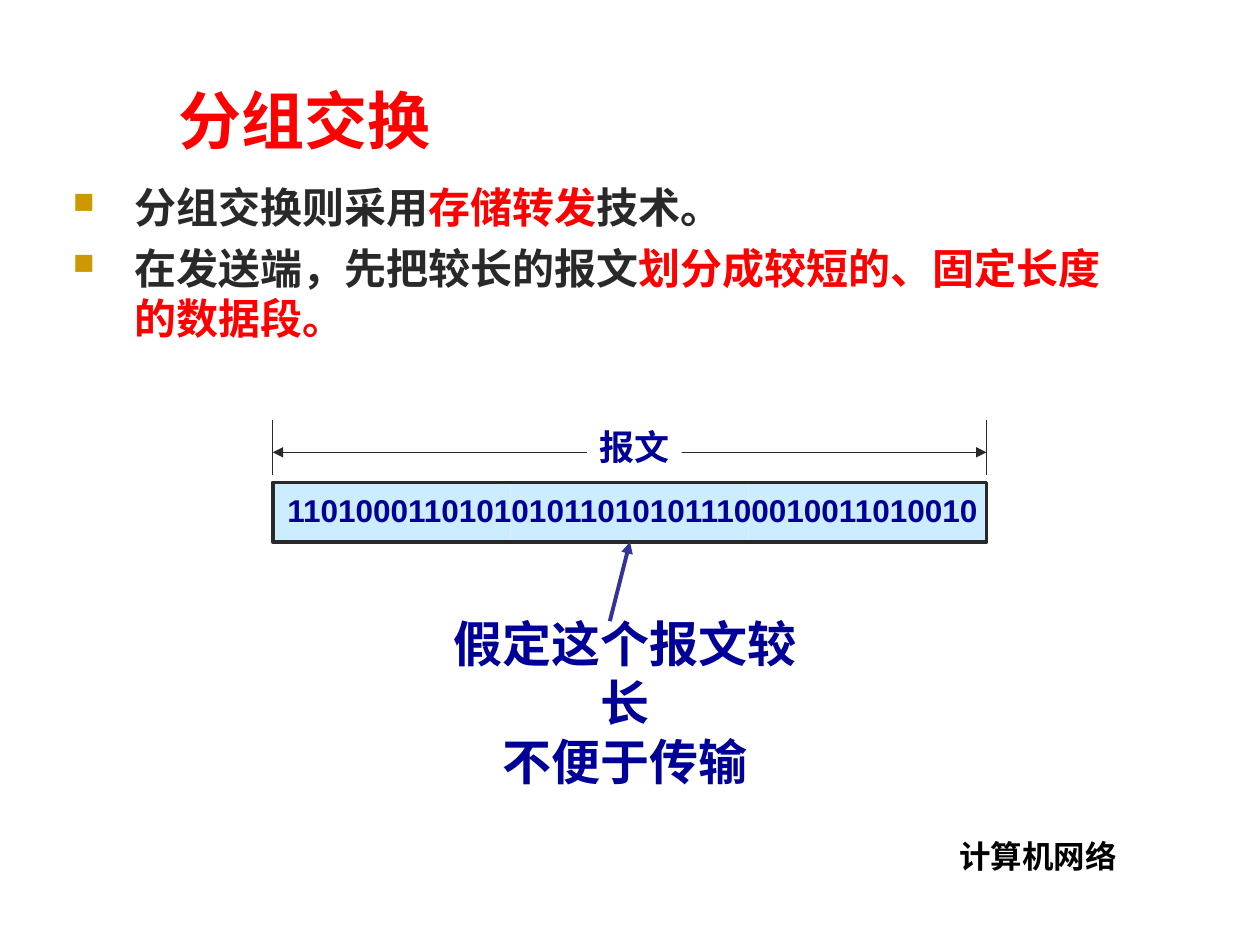
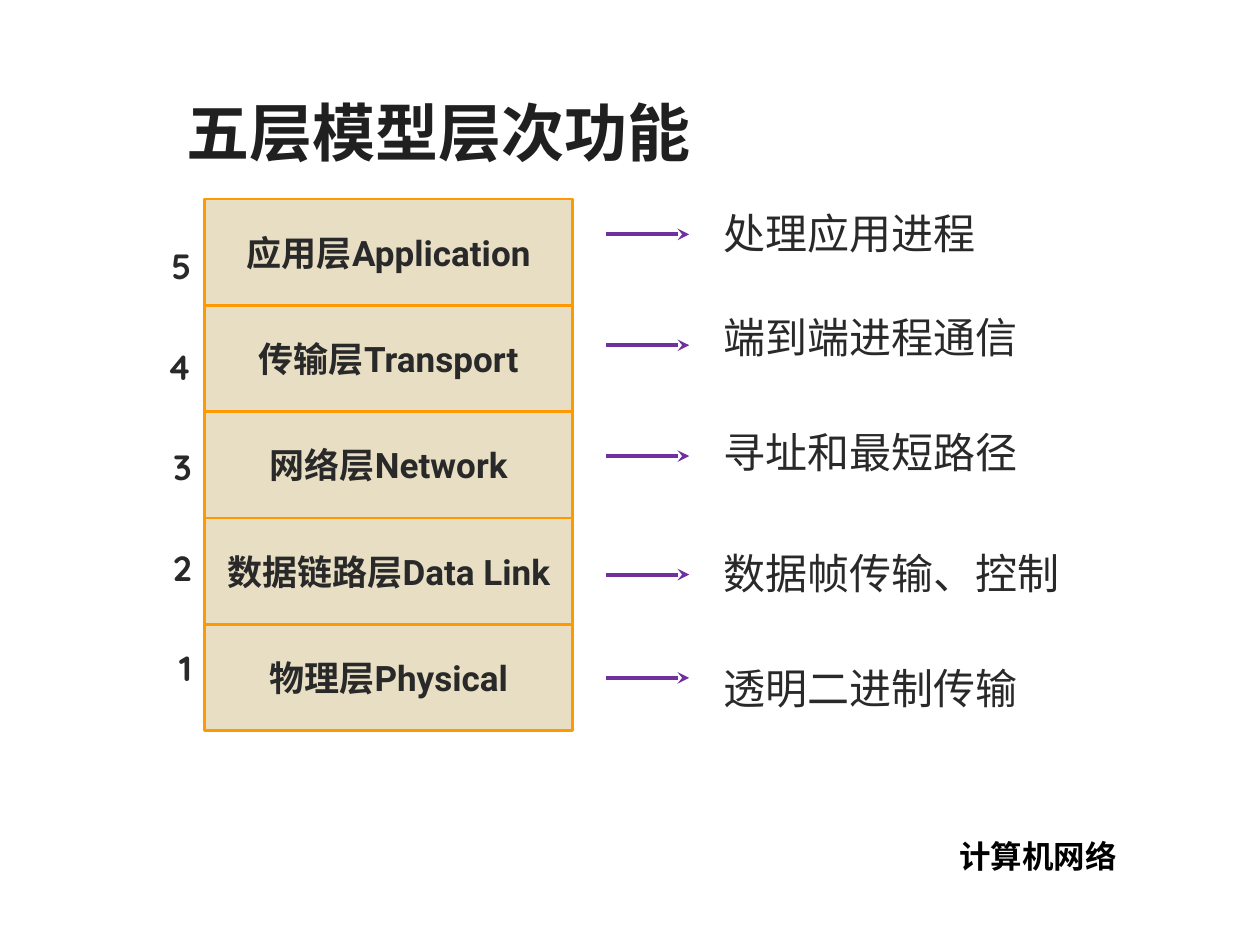
import pptx
import pptx.util
import pptx.dml.color
import pptx.enum.dml
import pptx.enum.lang
import pptx.enum.shapes
import pptx.enum.text
import pptx.oxml
import pptx.oxml.ns
import lxml.etree

COLS, ROWS = 100, 75
WIDE, HIGH = pptx.util.Inches(10), pptx.util.Inches(7.5)
HUES = {
    "red": "FF0000", "ink": "292929", "dark": "202020", "black": "000000",
    "navy": "000099", "blue": "333399", "sky": "CCECFF", "white": "FFFFFF",
    "gold": "CC9900", "tan": "997300", "edge": "FF9900", "plum": "7030A0",
}
ALIGN = {
    "left": pptx.enum.text.PP_ALIGN.LEFT,
    "mid": pptx.enum.text.PP_ALIGN.CENTER,
    "right": pptx.enum.text.PP_ALIGN.RIGHT,
}
HOLD = {
    "top": pptx.enum.text.MSO_ANCHOR.TOP,
    "mid": pptx.enum.text.MSO_ANCHOR.MIDDLE,
    "low": pptx.enum.text.MSO_ANCHOR.BOTTOM,
}
ASIAN = "Cabin"
LAYERS = [
    ("应用层Application", "处理应用进程", 18.6, 0),
    ("传输层Transport", "端到端进程通信", 27.4, 35),
    ("网络层Network", "寻址和最短路径", 36.2, 41),
    ("数据链路层Data Link", "数据帧传输、控制", 45.6, 45),
    ("物理层Physical", "透明二进制传输", 53.8, 41),
]


def col(n):
    return round(WIDE * n / COLS)


def row(n):
    return round(HIGH * n / ROWS)


def hue(name):
    return pptx.dml.color.RGBColor.from_string(HUES[name])


def node(root, tag, **attrs):
    item = lxml.etree.SubElement(root, pptx.oxml.ns.qn(tag))
    for key, value in attrs.items():
        item.set(key, str(value))
    return item


def place(area):
    left, top, wide, high = area
    return col(left), row(top), col(wide), row(high)


def mark(para):
    props = para._p.get_or_add_pPr()
    props.set("marL", str(col(4.9)))
    props.set("indent", str(-col(4.9)))
    node(node(props, "a:buClr"), "a:srgbClr", val=HUES["gold"])
    node(props, "a:buSzPct", val=70000)
    node(props, "a:buChar", char="■")


def write(frame, lines, size=18, font="Arial", color="ink", bold=True,
          align="left", hold="top", wrap=True, gaps=(), lead=None,
          bullet=False):
    frame.word_wrap = wrap
    frame.vertical_anchor = HOLD[hold]
    for i, line in enumerate(lines):
        para = frame.paragraphs[0] if i == 0 else frame.add_paragraph()
        para.alignment = ALIGN[align]
        if lead:
            para.line_spacing = lead
        if i and gaps:
            para.space_before = pptx.util.Pt(gaps[i])
        if bullet:
            mark(para)
        for words, shade in [(line, color)] if isinstance(line, str) else line:
            run = para.add_run()
            run.text = words
            run.font.size = pptx.util.Pt(size)
            run.font.bold = bold
            run.font.color.rgb = hue(shade)
            run.font.name = font
            run.font.language_id = pptx.enum.lang.MSO_LANGUAGE_ID.SIMPLIFIED_CHINESE
            node(run._r.get_or_add_rPr(), "a:ea", typeface=ASIAN)


def text(slide, area, lines, **style):
    write(slide.shapes.add_textbox(*place(area)).text_frame, lines, **style)


def box(slide, area, fill=None, edge=None, width=1.5, clear=None):
    shape = slide.shapes.add_shape(
        pptx.enum.shapes.MSO_SHAPE.RECTANGLE, *place(area))
    shape.shadow.inherit = False
    if fill:
        shape.fill.solid()
        shape.fill.fore_color.rgb = hue(fill)
        if clear:
            tint = shape.fill._xPr.find(".//" + pptx.oxml.ns.qn("a:srgbClr"))
            node(tint, "a:alpha", val=clear * 1000)
    else:
        shape.fill.background()
    if edge:
        shape.line.color.rgb = hue(edge)
        shape.line.width = pptx.util.Pt(width)
    else:
        shape.line.fill.background()
    return shape


def line(slide, start, end, color="ink", width=0.75, head=None, tail=None):
    link = slide.shapes.add_connector(
        pptx.enum.shapes.MSO_CONNECTOR.STRAIGHT,
        col(start[0]), row(start[1]), col(end[0]), row(end[1]))
    link.line.color.rgb = hue(color)
    link.line.width = pptx.util.Pt(width)
    stroke = link.line._get_or_add_ln()
    if head:
        node(stroke, "a:headEnd", type=head)
    if tail:
        node(stroke, "a:tailEnd", type=tail)
    node(link._element.spPr, "a:effectLst")


def page(deck, title, area, color):
    slide = deck.slides.add_slide(deck.slide_layouts[6])
    text(slide, (71, 65.9, 22.8, 4), ["计算机网络"], color="black", align="mid")
    text(slide, area, [title], size=36, color=color, hold="low")
    return slide


def packet(deck):
    slide = page(deck, "分组交换", (13.2, 4.4, 82, 8.6), "red")
    points = [
        [("分组交换则采用", "ink"), ("存储转发", "red"), ("技术。", "ink")],
        [("在发送端，先把较长的报文", "ink"),
         ("划分成较短的、固定长度的数据段。", "red")],
    ]
    text(slide, (4.8, 13.9, 83.8, 51.3), points, size=24, gaps=(0, 6),
         bullet=True)
    left, right, top, high = 21.65, 78.3, 38.3, 4.7
    line(slide, (left, 35.9), (right, 35.9), head="triangle", tail="triangle")
    label = box(slide, (46.6, 33.3, 7.5, 4.4), fill="white")
    write(label.text_frame, ["报文"], size=20, font="Times New Roman",
          color="navy", align="mid", wrap=False)
    part = (right - left) / 3
    for i in range(3):
        box(slide, (left + i * part, top, part, high), fill="sky")
    box(slide, (left, top, right - left, high), edge="ink", width=2.25)
    text(slide, (21.4, 38.5, 57.6, 4),
         ["1101000110101010110101011100010011010010"],
         color="navy", align="mid", wrap=False)
    text(slide, (33.1, 48.2, 33, 10.4), ["假定这个报文较长", "不便于传输"],
         size=28, font="Cabin", color="navy", align="mid", wrap=False)
    line(slide, (48.4, 49.3), (50, 43), color="blue", width=2.25,
         tail="triangle")
    for edge in (left, right):
        line(slide, (edge, 33.3), (edge, 37.7))


def model(deck):
    slide = page(deck, "五层模型层次功能", (13.8, 7.6, 73.9, 6.3), "dark")
    step = 8.44
    for i, (name, task, level, gap) in enumerate(LAYERS):
        layer = box(slide, (16.25, 15.8 + i * step, 29.2, step), fill="tan",
                    edge="edge", clear=23)
        write(layer.text_frame, [name], size=20, font="Roboto", align="mid",
              hold="mid", wrap=False)
        line(slide, (48.1, level), (54.7, level), color="plum", width=2.25,
             tail="stealth")
    text(slide, (12, 18.6, 4.2, 37.1), list("54321"), size=20,
         font="Quicksand", align="right", gaps=[31] * 5, lead=1.1)
    text(slide, (56.4, 16.6, 29.2, 40.5), [task for _, task, _, _ in LAYERS],
         size=24, font="Noto Sans CJK SC", bold=False, lead=0.85,
         gaps=[gap for _, _, _, gap in LAYERS])


def main():
    deck = pptx.Presentation()
    deck.slide_width, deck.slide_height = WIDE, HIGH
    packet(deck)
    model(deck)
    deck.save("out.pptx")


if __name__ == "__main__":
    main()
